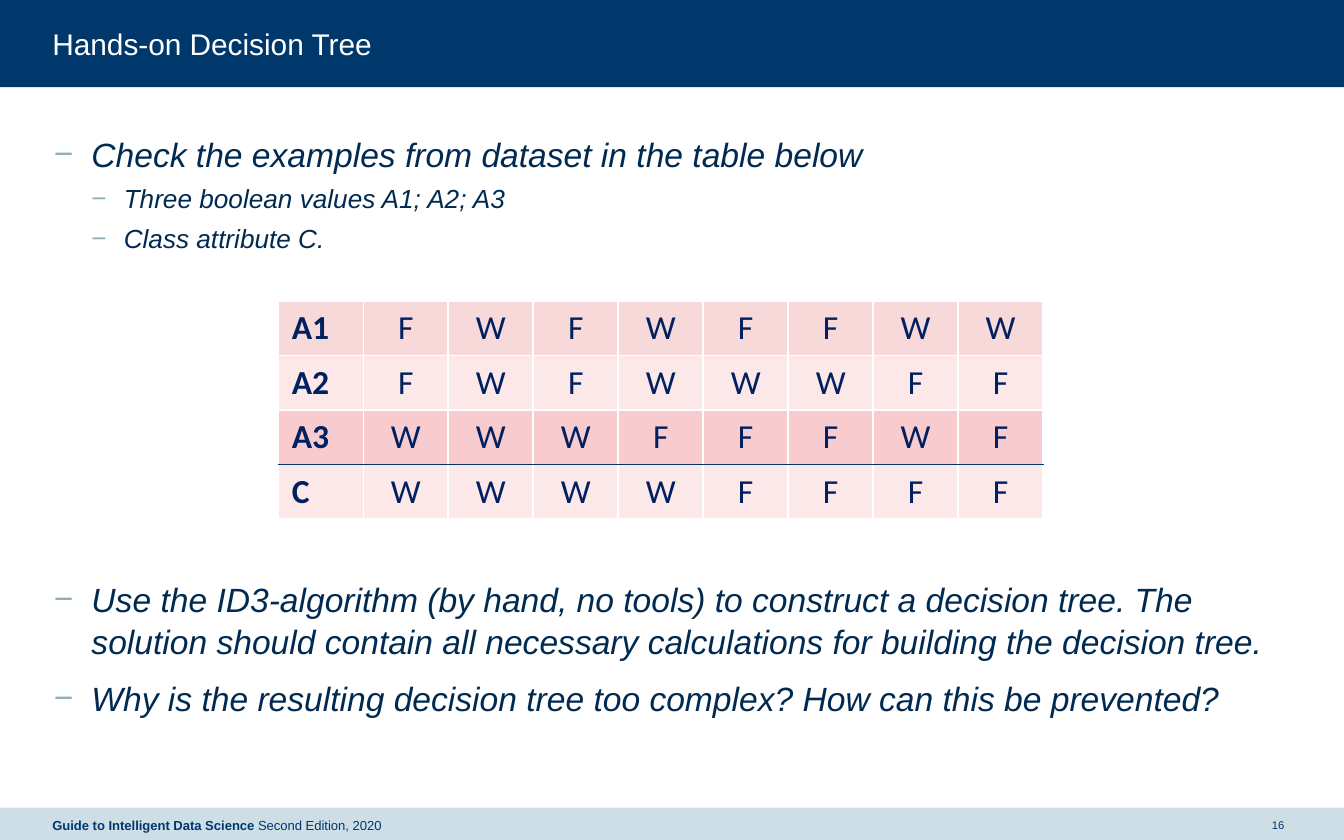
import pptx
import pptx.chart.data
import pptx.dml.color
import pptx.enum.shapes
import pptx.enum.text
import pptx.oxml
import pptx.oxml.ns
import pptx.util
from lxml import etree

Cm, Pt = pptx.util.Cm, pptx.util.Pt
ALIGN, ANCHOR = pptx.enum.text.PP_ALIGN, pptx.enum.text.MSO_ANCHOR
NAVY, PALE, INK, DASH = "00386C", "CDDEE7", "002A51", "92AEBC"
WHITE, DEEP = "FFFFFF", "002060"

TITLE = "Hands-on Decision Tree"
BOOK, ISSUE = "Guide to Intelligent Data Science ", "Second Edition, 2020"
PAGE = "16"

# level, space before in points, text
POINTS = [
    (0, 7.5, "Check the examples from dataset in the table below"),
    (1, 3.8, "Three boolean values A1; A2; A3"),
    (1, 3.8, "Class attribute C."),
    (0, 173, "Use the ID3-algorithm (by hand, no tools) to construct a decision "
             "tree. The solution should contain all necessary calculations for "
             "building the decision tree."),
    (0, 7.5, "Why is the resulting decision tree too complex? "
             "How can this be prevented?"),
]
# size, left margin, hanging indent
LEVELS = [(18, Cm(0.74), Cm(0.71)), (14, Cm(1.35), Cm(0.61))]

# name, values, fill
ROWS = [
    ("A1", "FWFWFFWW", "F8D9DA"),
    ("A2", "FWFWWWFF", "FCE8E9"),
    ("A3", "WWWFFFWF", "F8CCCF"),
    ("C", "WWWWFFFF", "FCE8E9"),
]
RULE = 3  # the dark line lies above this row


def color(code):
    """Turn a hex string into a colour."""
    return pptx.dml.color.RGBColor.from_string(code)


def style(run, size, code, bold=False, italic=False, face="Arial"):
    """Format one run."""
    font = run.font
    font.size, font.name = Pt(size), face
    font.bold, font.italic = bold, italic
    font.color.rgb = color(code)


def add(node, tag, **attrs):
    """Append a drawing element to a node."""
    return etree.SubElement(node, pptx.oxml.ns.qn("a:" + tag), **attrs)


def band(top, high, code):
    """Draw a bar across the whole slide."""
    bar = slide.shapes.add_shape(
        pptx.enum.shapes.MSO_SHAPE.RECTANGLE, 0, top, deck.slide_width, high)
    bar.shadow.inherit = False
    bar.fill.solid()
    bar.fill.fore_color.rgb = color(code)
    bar.line.fill.background()


def text(left, top, wide, high, anchor=ANCHOR.TOP):
    """Add a wrapped text box without margins and return its frame."""
    frame = slide.shapes.add_textbox(left, top, wide, high).text_frame
    frame.word_wrap, frame.vertical_anchor = True, anchor
    frame.margin_left = frame.margin_right = 0
    frame.margin_top = frame.margin_bottom = 0
    return frame


def bullet(para, level, gap):
    """Format a paragraph as a dashed point."""
    size, left, hang = LEVELS[level]
    para.level, para.space_before, para.line_spacing = level, Pt(gap), 1.05
    props = para._p.get_or_add_pPr()
    props.set("marL", str(left))
    props.set("indent", str(-hang))
    add(add(props, "buClr"), "srgbClr", val=DASH)
    add(props, "buFont", typeface="Arial")
    add(props, "buChar", char="\u2212")
    style(para.runs[0], size, INK, italic=True)


def border(cell, row):
    """Draw the four edges of a cell, dark along the rule."""
    props = cell._tc.get_or_add_tcPr()
    dark = {"lnT": row == RULE, "lnB": row == RULE - 1}
    for spot, tag in enumerate(("lnL", "lnR", "lnT", "lnB")):
        line = etree.Element(pptx.oxml.ns.qn("a:" + tag), w=str(Pt(1)))
        code = NAVY if dark.get(tag) else WHITE
        add(add(line, "solidFill"), "srgbClr", val=code)
        props.insert(spot, line)


def fill(cell, row, col, word, code):
    """Write and format one table cell."""
    cell.text_frame.text = word
    para = cell.text_frame.paragraphs[0]
    para.alignment = ALIGN.CENTER if col else ALIGN.LEFT
    style(para.runs[0], 18, DEEP, bold=col == 0, face="Calibri")
    cell.fill.solid()
    cell.fill.fore_color.rgb = color(code)
    border(cell, row)


deck = pptx.Presentation()
deck.slide_width, deck.slide_height = Cm(25.4), Cm(15.88)
slide = deck.slides.add_slide(deck.slide_layouts[6])
EDGE, FOOT, BAR = Cm(0.99), Cm(15.27), Cm(0.65)

band(0, Cm(1.65), NAVY)
band(FOOT, BAR, PALE)

head = text(EDGE, Cm(0.48), Cm(23.42), Cm(0.69))
head.text = TITLE
style(head.paragraphs[0].runs[0], 16, WHITE)

page = text(Cm(23.9), FOOT, Cm(0.51), BAR, ANCHOR.MIDDLE)
page.text = PAGE
page.paragraphs[0].alignment = ALIGN.CENTER
style(page.paragraphs[0].runs[0], 6, NAVY)

body = text(EDGE, Cm(2.49), Cm(23.27), Cm(11.96))
body.text = "\n".join(words for _, _, words in POINTS)
for para, (level, gap, _) in zip(body.paragraphs, POINTS):
    bullet(para, level, gap)

foot = text(EDGE, FOOT, Cm(11.15), BAR, ANCHOR.MIDDLE).paragraphs[0]
for words, bold in ((BOOK, True), (ISSUE, False)):
    run = foot.add_run()
    run.text = words
    style(run, 7, NAVY, bold)

count = 1 + len(ROWS[0][1])
table = slide.shapes.add_table(
    len(ROWS), count, Cm(5.26), Cm(5.69), Cm(14.46), Cm(4.12)).table
table.first_row = table.horz_banding = False
for row, (name, values, code) in enumerate(ROWS):
    for col, word in enumerate([name, *values]):
        fill(table.cell(row, col), row, col, word, code)

deck.save("out.pptx")
